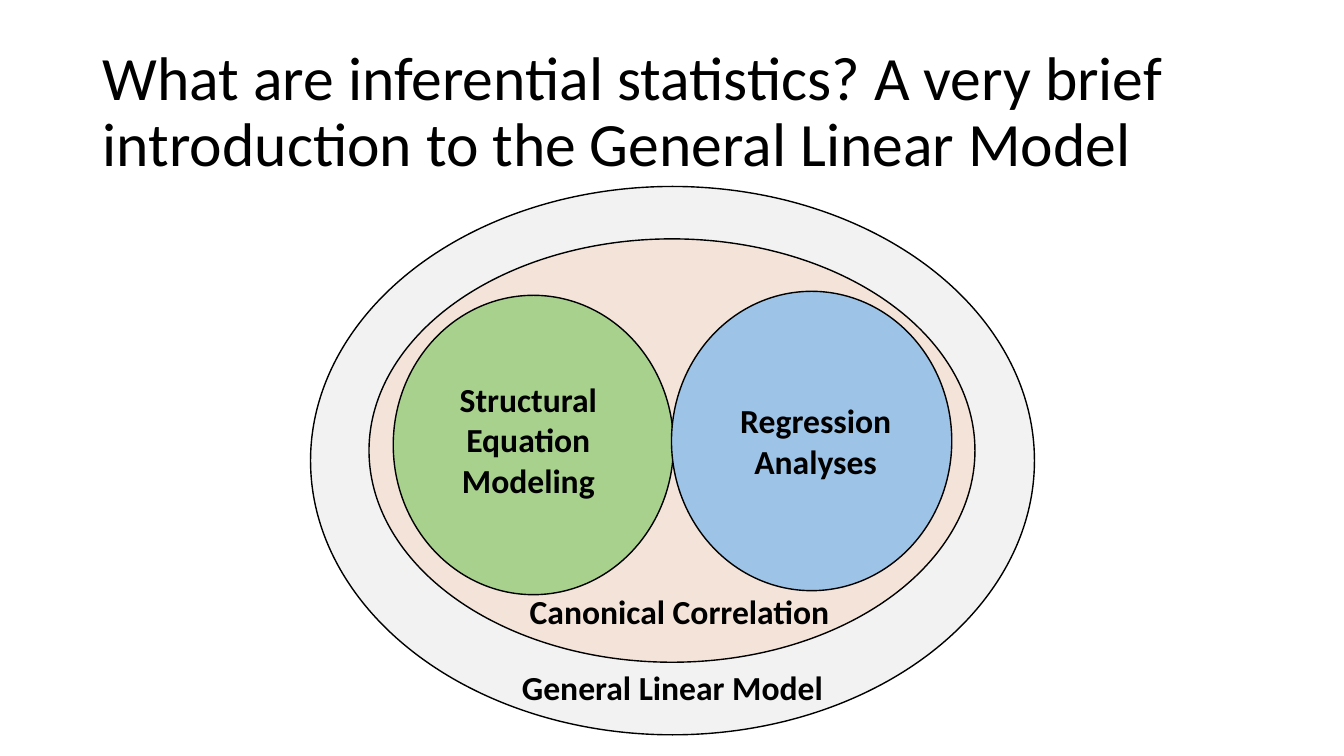
from dataclasses import dataclass

from lxml import etree
from pptx import Presentation
from pptx import util as u
from pptx.dml.color import RGBColor
from pptx.enum import shapes, text
from pptx.oxml.ns import qn


@dataclass(frozen=True)
class Theme:
    """Colours, font and sizes of the slide."""
    font: str = "Calibri"
    ink: str = "000000"
    general: str = "F2F2F2"
    canonical: str = "F8CBAD"
    structural: str = "A9D18E"
    regression: str = "9DC3E6"
    title_size: int = 44
    label_size: int = 24
    outline: float = 1


THEME = Theme()


def write(frame, words, size, bold=False, align=text.PP_ALIGN.LEFT,
          anchor=text.MSO_ANCHOR.TOP, spacing=None):
    """Put formatted words into a wrapping text frame."""
    frame.word_wrap = True
    frame.auto_size = text.MSO_AUTO_SIZE.NONE
    frame.vertical_anchor = anchor
    paragraph = frame.paragraphs[0]
    paragraph.alignment = align
    paragraph.line_spacing = spacing
    run = paragraph.add_run()
    run.text = words
    run.font.name = THEME.font
    run.font.size = u.Pt(size)
    run.font.bold = bold
    run.font.color.rgb = RGBColor.from_string(THEME.ink)


def place(origin, box):
    """Turn a box relative to an origin into slide lengths."""
    left, top, width, height = box
    return [u.Inches(v) for v in (origin[0] + left, origin[1] + top, width, height)]


def add_set(slide, origin, box, colour, opacity=100):
    """Draw one outlined ellipse of the nested sets."""
    ellipse = slide.shapes.add_shape(shapes.MSO_SHAPE.OVAL, *place(origin, box))
    ellipse.shadow.inherit = False
    ellipse.fill.solid()
    ellipse.fill.fore_color.rgb = RGBColor.from_string(colour)
    ellipse.line.color.rgb = RGBColor.from_string(THEME.ink)
    ellipse.line.width = u.Pt(THEME.outline)
    if opacity < 100:
        tint = ellipse.fill._xPr.find(qn("a:solidFill"))[0]
        etree.SubElement(tint, qn("a:alpha"), val=str(opacity * 1000))


def add_heading(slide, box):
    """Place and format the title."""
    title = slide.shapes.title
    title.left, title.top, title.width, title.height = place((0, 0), box)
    write(title.text_frame,
          "What are inferential statistics? A very brief introduction to the General Linear Model",
          THEME.title_size, anchor=text.MSO_ANCHOR.MIDDLE, spacing=0.9)


def add_model_diagram(slide, box):
    """Draw the nested models and their labels, back to front."""
    origin, (width, height) = box[:2], box[2:]
    circle = (2.78, 2.97)
    models = [
        ("General Linear Model", (0, 0, width, height), THEME.general, 100,
         (1.29, 4.72, 4.6, 0.5)),
        ("Canonical Correlation", (0.58, 0.52, 6.01, 4.2), THEME.canonical, 37,
         (1.36, 3.96, 4.6, 0.5)),
        ("Structural Equation Modeling", (0.82, 1.08, *circle), THEME.structural, 100,
         (0.77, 1.86, circle[0], 1.31)),
        ("Regression Analyses", (3.58, 1.04, *circle), THEME.regression, 100,
         (3.62, 2.07, circle[0], 0.91)),
    ]
    for name, outline, colour, opacity, label_box in models:
        add_set(slide, origin, outline, colour, opacity)
        label = slide.shapes.add_textbox(*place(origin, label_box))
        write(label.text_frame, name, THEME.label_size, bold=True,
              align=text.PP_ALIGN.CENTER)


def main():
    """Build and save the slide."""
    deck = Presentation()
    deck.slide_width, deck.slide_height = u.Inches(13.33), u.Inches(7.5)
    slide = deck.slides.add_slide(deck.slide_layouts.get_by_name("Title Only"))
    add_heading(slide, (0.92, 0.4, 11.5, 1.45))
    add_model_diagram(slide, (3.08, 1.85, 7.18, 5.44))
    deck.save("out.pptx")


main()
